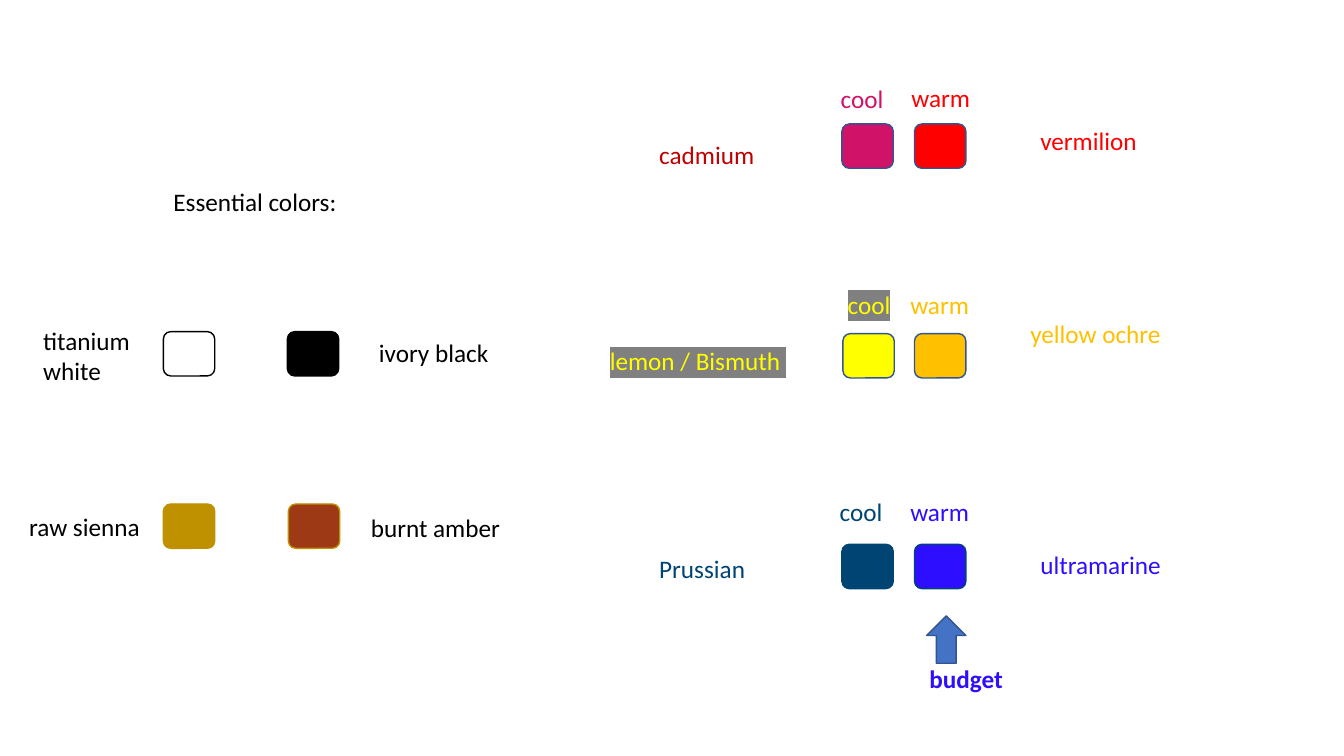
import pptx
import pptx.util
import pptx.dml.color
import pptx.enum.shapes
import pptx.enum.text
import pptx.oxml
import pptx.oxml.ns

EMU_PER_PX = 9144  # 100 px to the inch
SHAPE = pptx.enum.shapes.MSO_SHAPE
AUTO_SIZE = pptx.enum.text.MSO_AUTO_SIZE

BLACK, WHITE, GREY = "000000", "FFFFFF", "808080"
OUTLINE, ARROW_BLUE = "325491", "4472C4"
MAGENTA, RED, CADMIUM = "D01269", "FF0000", "C00000"
YELLOW, OCHRE = "FFFF00", "FFC000"
PRUSSIAN, ULTRAMARINE = "004474", "2E0EFF"
SIENNA, AMBER = "BF9000", "9D3914"


def px(length):
    return pptx.util.Emu(length * EMU_PER_PX)


def rgb(hex_string):
    return pptx.dml.color.RGBColor.from_string(hex_string)


class PaletteSlide:
    """Holds the text style and the slide being filled."""

    font_format = {"name": "Calibri", "size": pptx.util.Pt(18), "bold": False}
    label_height = 40
    swatch_size = (51, 44)

    def __init__(self, presentation):
        self.slide = presentation.slides.add_slide(presentation.slide_layouts[5])

    def fill_text(self, frame, text, color, highlight=None, **changes):
        frame_format = {
            "text": text,
            "word_wrap": False,
            "vertical_anchor": pptx.enum.text.MSO_ANCHOR.TOP,
        }
        for attribute, value in frame_format.items():
            setattr(frame, attribute, value)
        for paragraph in frame.paragraphs:
            paragraph.alignment = pptx.enum.text.PP_ALIGN.LEFT
            paragraph.line_spacing = 1.0
            for run in paragraph.runs:
                for attribute, value in {**self.font_format, **changes}.items():
                    setattr(run.font, attribute, value)
                run.font.color.rgb = rgb(color)
                if highlight:
                    self.highlight(run, highlight)

    def highlight(self, run, color):
        mark = pptx.oxml.parse_xml(
            f'<a:highlight {pptx.oxml.ns.nsdecls("a")}>'
            f'<a:srgbClr val="{color}"/></a:highlight>'
        )
        run.font._element.find(pptx.oxml.ns.qn("a:solidFill")).addnext(mark)

    def title(self, text, left, top, width, height):
        heading = self.slide.shapes.title
        place = {"left": left, "top": top, "width": width, "height": height}
        for attribute, value in place.items():
            setattr(heading, attribute, px(value))
        self.fill_text(heading.text_frame, text, BLACK)
        heading.text_frame.auto_size = AUTO_SIZE.NONE

    def label(self, text, left, top, width, color=BLACK, height=label_height, **changes):
        box = self.slide.shapes.add_textbox(px(left), px(top), px(width), px(height))
        self.fill_text(box.text_frame, text, color, **changes)
        box.text_frame.auto_size = AUTO_SIZE.SHAPE_TO_FIT_TEXT

    def shape(self, kind, left, top, width, height, fill, line):
        figure = self.slide.shapes.add_shape(
            kind, px(left), px(top), px(width), px(height)
        )
        figure.shadow.inherit = False
        figure.fill.solid()
        figure.fill.fore_color.rgb = rgb(fill)
        figure.line.color.rgb = rgb(line)
        figure.line.width = pptx.util.Pt(1)

    def swatch(self, left, top, fill, line):
        self.shape(SHAPE.ROUNDED_RECTANGLE, left, top, *self.swatch_size, fill, line)


def main():
    presentation = pptx.Presentation()
    presentation.slide_width = px(1333)
    presentation.slide_height = px(750)
    palette = PaletteSlide(presentation)

    palette.title("Essential colors:", 162, 180, 184, 131)

    # Cool and warm pairs: swatch left, top, fill, line
    pair_swatches = [
        (835, 123, MAGENTA, OUTLINE), (907, 123, RED, OUTLINE),
        (836, 331, YELLOW, OUTLINE), (907, 331, OCHRE, OUTLINE),
        (835, 540, PRUSSIAN, PRUSSIAN), (907, 540, ULTRAMARINE, PRUSSIAN),
    ]
    # Neutrals and earths
    essential_swatches = [
        (162, 329, WHITE, BLACK), (285, 329, BLACK, BLACK),
        (162, 500, SIENNA, SIENNA), (286, 500, AMBER, SIENNA),
    ]
    for swatch in pair_swatches + essential_swatches:
        palette.swatch(*swatch)

    # Temperature captions: left, top, color
    on_grey = {"highlight": GREY}
    cool_captions = [
        (824, 78, MAGENTA, {}), (831, 282, YELLOW, on_grey), (823, 487, PRUSSIAN, {}),
    ]
    for left, top, color, changes in cool_captions:
        palette.label("cool", left, top, 63, color, **changes)
    for left, top, color in [(894, 77, RED), (893, 282, OCHRE), (893, 487, ULTRAMARINE)]:
        palette.label("warm", left, top, 79, color)

    # Pigment names: text, left, top, width, color
    pigments = [
        ("cadmium", 644, 133, 116, CADMIUM),
        ("vermilion", 1022, 119, 117, RED),
        ("yellow ochre", 1012, 311, 151, OCHRE),
        ("Prussian", 644, 544, 106, PRUSSIAN),
        ("ultramarine", 1022, 540, 141, ULTRAMARINE),
        ("ivory black", 366, 330, 130, BLACK),
        ("raw sienna", 19, 502, 131, BLACK),
        ("burnt amber", 358, 503, 150, BLACK),
    ]
    for pigment in pigments:
        palette.label(*pigment)
    palette.label("lemon / Bismuth ", 595, 338, 197, YELLOW, **on_grey)
    palette.label("titanium\nwhite", 33, 318, 107, height=71)

    # Budget pointer
    palette.shape(SHAPE.UP_ARROW, 919, 611, 39, 47, ARROW_BLUE, OUTLINE)
    palette.label("budget", 912, 653, 93, ULTRAMARINE, bold=True)

    presentation.save("out.pptx")


if __name__ == "__main__":
    main()
